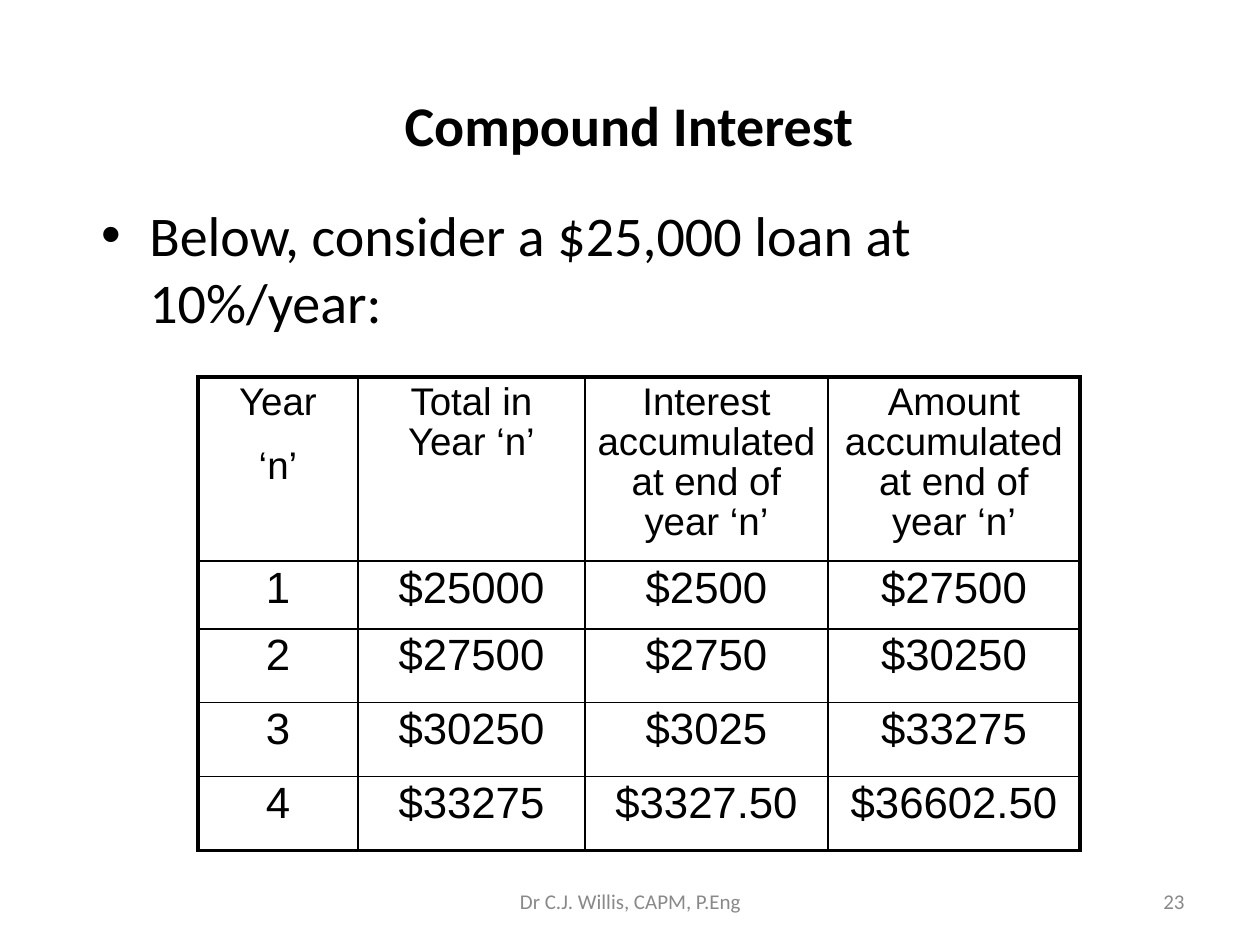
"""Build the compound interest slide with its loan table."""
from dataclasses import dataclass

from lxml.etree import SubElement
from pptx import Presentation
from pptx.dml.color import RGBColor
from pptx.enum.text import MSO_ANCHOR as Anchor, PP_ALIGN as Align
from pptx.oxml.ns import qn
from pptx.util import Emu, Pt

PX = 914400 / 126
BLACK = RGBColor(0x00, 0x00, 0x00)
GREY = RGBColor(0x89, 0x89, 0x89)
THIN, THICK = Pt(1), Pt(2.25)

COLUMN_WIDTHS = (160, 227, 243, 252)
ROW_HEIGHTS = (183, 68, 74, 74, 74)
LOAN_ROWS = (
    ("Year\n‘n’", "Total in Year ‘n’", "Interest accumulated at end of year ‘n’",
     "Amount accumulated at end of year ‘n’"),
    ("1", "$25000", "$2500", "$27500"),
    ("2", "$27500", "$2750", "$30250"),
    ("3", "$30250", "$3025", "$33275"),
    ("4", "$33275", "$3327.50", "$36602.50"),
)


@dataclass(frozen=True)
class Label:
    text: str
    left: int
    top: int
    width: int
    height: int
    size: int
    color: RGBColor
    align: Align
    anchor: Anchor = Anchor.MIDDLE
    bold: bool = False
    bullet: bool = False


LABELS = (
    Label("Compound Interest", 89, 86, 1080, 76, 32, BLACK, Align.CENTER, bold=True),
    Label("Below, consider a $25,000 loan at 10%/year:", 89, 194, 1057, 656, 32, BLACK,
          Align.LEFT, Anchor.TOP, bullet=True),
    Label("23", 903, 876, 294, 50, 12, GREY, Align.RIGHT),
    Label("Dr C.J. Willis, CAPM, P.Eng", 431, 876, 399, 50, 12, GREY, Align.CENTER),
)


def px(length: int) -> Emu:
    return Emu(round(length * PX))


def add_run(para, text: str, font: str, size: int, color: RGBColor, bold: bool = False) -> None:
    span = para.add_run()
    span.text = text
    span.font.name = font
    span.font.size = Pt(size)
    span.font.bold = bold
    span.font.color.rgb = color


def add_bullet(para) -> None:
    props = para._p.get_or_add_pPr()
    props.set("marL", str(px(48)))
    props.set("indent", str(-px(48)))
    color = SubElement(props, qn("a:buClr"))
    SubElement(color, qn("a:srgbClr"), val=str(BLACK))
    SubElement(props, qn("a:buFont"), typeface="Arial")
    SubElement(props, qn("a:buChar"), char="•")


def add_label(page, label: Label) -> None:
    box = page.shapes.add_textbox(px(label.left), px(label.top), px(label.width), px(label.height))
    frame = box.text_frame
    frame.word_wrap = True
    frame.vertical_anchor = label.anchor
    para = frame.paragraphs[0]
    para.alignment = label.align
    if label.bullet:
        add_bullet(para)
    add_run(para, label.text, "Calibri", label.size, label.color, label.bold)


def add_border(cell, side: str, width: Emu) -> None:
    line = SubElement(cell._tc.get_or_add_tcPr(), qn(f"a:ln{side}"), w=str(width))
    fill = SubElement(line, qn("a:solidFill"))
    SubElement(fill, qn("a:srgbClr"), val=str(BLACK))


def fill_cell(cell, text: str, size: int) -> None:
    cell.margin_left = cell.margin_right = px(11)
    cell.margin_top = cell.margin_bottom = px(6)
    frame = cell.text_frame
    for index, part in enumerate(text.split("\n")):
        para = frame.add_paragraph() if index else frame.paragraphs[0]
        para.alignment = Align.CENTER
        para.line_spacing = 0.93
        if index:
            para.space_before = Pt(14)
        add_run(para, part, "Arial", size, BLACK)


def add_loan_table(page, left: int, top: int) -> None:
    last_row, last_column = len(ROW_HEIGHTS) - 1, len(COLUMN_WIDTHS) - 1
    table = page.shapes.add_table(
        len(ROW_HEIGHTS), len(COLUMN_WIDTHS), px(left), px(top),
        px(sum(COLUMN_WIDTHS)), px(sum(ROW_HEIGHTS))).table
    table.first_row = table.horz_banding = False
    for column, width in zip(table.columns, COLUMN_WIDTHS):
        column.width = px(width)
    for row, height in zip(table.rows, ROW_HEIGHTS):
        row.height = px(height)
    for row_index, texts in enumerate(LOAN_ROWS):
        for column_index, text in enumerate(texts):
            cell = table.cell(row_index, column_index)
            fill_cell(cell, text, 25 if row_index else 22)
            outer_sides = {"L": column_index == 0, "R": column_index == last_column,
                           "T": row_index == 0, "B": row_index == last_row}
            for side, outer in outer_sides.items():
                add_border(cell, side, THICK if outer else THIN)
            cell.fill.background()


def main() -> None:
    deck = Presentation()
    deck.slide_width, deck.slide_height = px(1260), px(945)
    page = deck.slides.add_slide(deck.slide_layouts[6])
    for label in LABELS:
        add_label(page, label)
    add_loan_table(page, 198, 377)
    deck.save("out.pptx")


if __name__ == "__main__":
    main()
